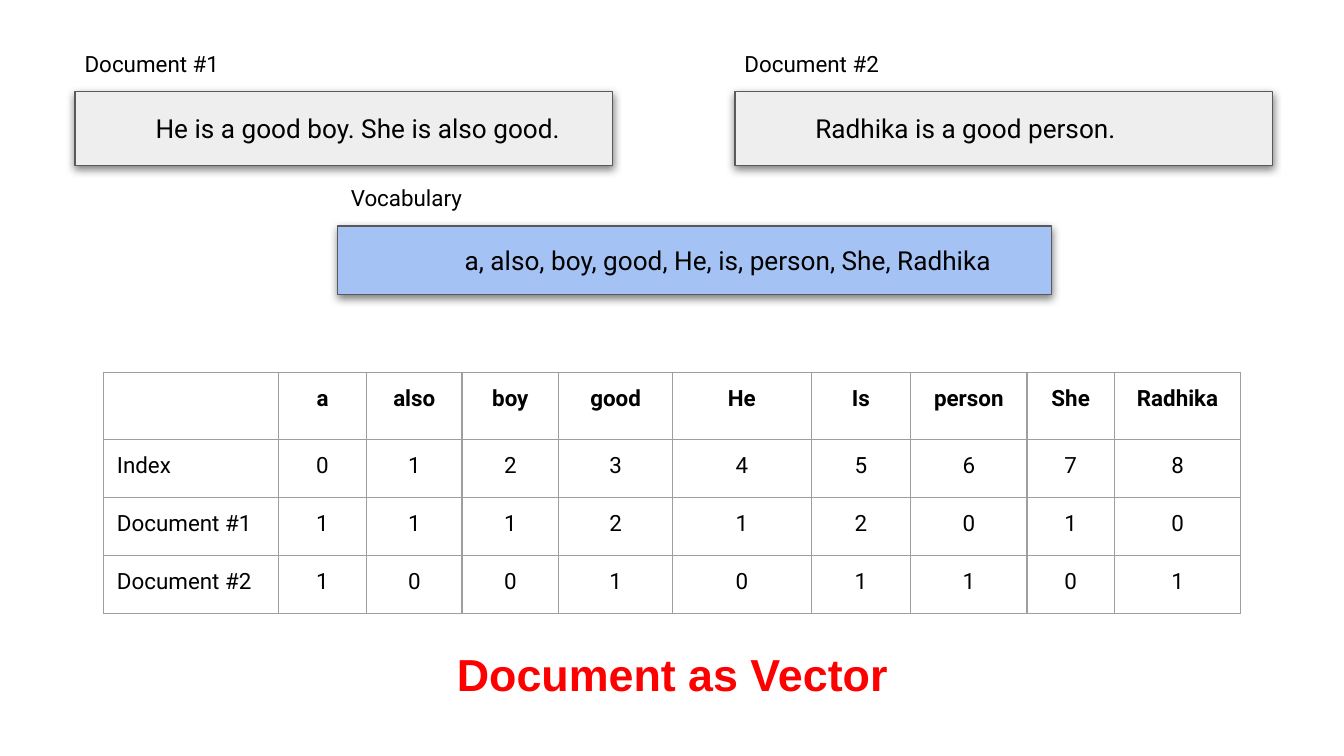
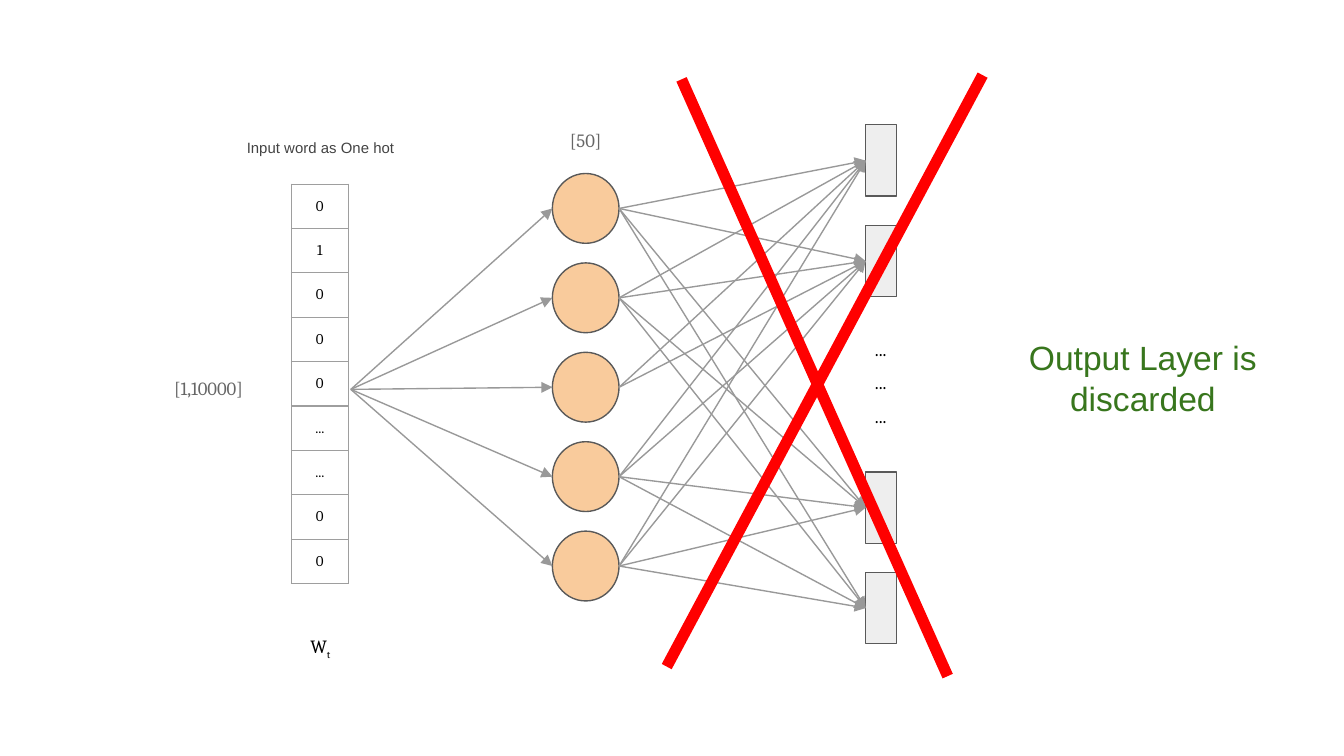
from dataclasses import dataclass

from lxml import etree
from pptx import Presentation
from pptx.dml.color import RGBColor
from pptx.enum.shapes import MSO_CONNECTOR, MSO_SHAPE
from pptx.enum.text import MSO_ANCHOR, PP_ALIGN
from pptx.oxml.ns import qn
from pptx.util import Cm, Pt

LEFT, CENTER = PP_ALIGN.LEFT, PP_ALIGN.CENTER
TOP, MIDDLE = MSO_ANCHOR.TOP, MSO_ANCHOR.MIDDLE
RECTANGLE, OVAL = MSO_SHAPE.RECTANGLE, MSO_SHAPE.OVAL
STRAIGHT = MSO_CONNECTOR.STRAIGHT


@dataclass(frozen=True)
class TextStyle:
    font: str
    size: int
    color: str = "000000"
    bold: bool = False


@dataclass(frozen=True)
class Theme:
    panel: str = "EEEEEE"
    vocabulary: str = "A4C2F4"
    neuron: str = "F9CB9C"
    outline: str = "595959"
    grid: str = "9E9E9E"
    arrow: str = "999999"
    cross: str = "FF0000"
    thin: float = 0.75
    thick: float = 6
    inset: float = 0.25
    sentence: TextStyle = TextStyle("Roboto", 14)
    label: TextStyle = TextStyle("Roboto", 12)
    header: TextStyle = TextStyle("Roboto", 12, bold=True)
    headline: TextStyle = TextStyle("Arial", 24, "FF0000", True)
    caption: TextStyle = TextStyle("Arial", 8, "434343")
    verdict: TextStyle = TextStyle("Arial", 18, "38761D")
    one_hot: TextStyle = TextStyle("Cambria", 8)
    symbol: TextStyle = TextStyle("Cambria", 10)
    dimension: TextStyle = TextStyle("Cambria", 10, "666666")


THEME = Theme()


@dataclass(frozen=True)
class Box:
    left: float
    top: float
    width: float
    height: float

    def lengths(self):
        return Cm(self.left), Cm(self.top), Cm(self.width), Cm(self.height)

    def inner(self, left, top, width, height):
        return Box(self.left + left, self.top + top, width, height)

    @property
    def middle(self):
        return self.top + self.height / 2

    @property
    def right(self):
        return self.left + self.width


def color(value):
    return RGBColor.from_string(value)


def add_run(paragraph, text, style):
    run = paragraph.add_run()
    run.text = text
    run.font.name = style.font
    run.font.size = Pt(style.size)
    run.font.bold = style.bold
    run.font.color.rgb = color(style.color)
    return run


def set_insets(holder):
    holder.margin_left = holder.margin_right = Cm(THEME.inset)
    holder.margin_top = holder.margin_bottom = Cm(THEME.inset)


def fill_frame(frame, text, style, align, anchor):
    frame.word_wrap = True
    frame.vertical_anchor = anchor
    set_insets(frame)
    paragraph = frame.paragraphs[0]
    paragraph.alignment = align
    add_run(paragraph, text, style)
    return paragraph


def add_text(slide, box, text, style, align=CENTER, anchor=MIDDLE):
    shape = slide.shapes.add_textbox(*box.lengths())
    return fill_frame(shape.text_frame, text, style, align, anchor)


def add_outlined_shape(slide, kind, box, fill):
    shape = slide.shapes.add_shape(kind, *box.lengths())
    shape.shadow.inherit = False
    shape.fill.solid()
    shape.fill.fore_color.rgb = color(fill)
    shape.line.color.rgb = color(THEME.outline)
    shape.line.width = Pt(THEME.thin)
    return shape


def add_drop_shadow(shape):
    effects = shape._element.spPr.find(qn("a:effectLst"))
    shadow = etree.SubElement(effects, qn("a:outerShdw"), blurRad=str(Pt(4.5)),
                              dist=str(Pt(1.5)), dir="5400000", algn="bl", rotWithShape="0")
    black = etree.SubElement(shadow, qn("a:srgbClr"), val="000000")
    etree.SubElement(black, qn("a:alpha"), val="50000")


def add_line(slide, start, end, line_color, width, arrow=False):
    connector = slide.shapes.add_connector(STRAIGHT, *map(Cm, start + end))
    connector.line.color.rgb = color(line_color)
    connector.line.width = Pt(width)
    properties = connector._element.spPr
    if arrow:
        etree.SubElement(properties.find(qn("a:ln")), qn("a:tailEnd"), type="triangle")
    etree.SubElement(properties, qn("a:effectLst"))


def add_arrow(slide, start, end):
    add_line(slide, start, end, THEME.arrow, THEME.thin, arrow=True)


def set_borders(cell):
    properties = cell._tc.get_or_add_tcPr()
    for index, side in enumerate(("lnL", "lnR", "lnT", "lnB")):
        border = etree.Element(qn(f"a:{side}"), w=str(Pt(THEME.thin)))
        fill = etree.SubElement(border, qn("a:solidFill"))
        etree.SubElement(fill, qn("a:srgbClr"), val=THEME.grid)
        properties.insert(index, border)


def add_grid(slide, box, rows, column_widths, row_heights, anchor, style_of, align_of):
    frame = slide.shapes.add_table(len(rows), len(column_widths), *box.lengths())
    table = frame.table
    table.first_row = table.horz_banding = False
    for column, width in zip(table.columns, column_widths):
        column.width = Cm(width)
    for row, height in zip(table.rows, row_heights):
        row.height = Cm(height)
    for row_index, values in enumerate(rows):
        for column_index, value in enumerate(values):
            cell = table.cell(row_index, column_index)
            cell.fill.background()
            cell.vertical_anchor = anchor
            set_insets(cell)
            set_borders(cell)
            paragraph = cell.text_frame.paragraphs[0]
            paragraph.alignment = align_of(column_index)
            add_run(paragraph, value, style_of(row_index))


def labelled_panel(slide, box, label, text, fill, align=LEFT, label_shift=0.0):
    label_height = 1.04
    label_box = box.inner(label_shift, 0, box.width, label_height)
    add_text(slide, label_box, label, THEME.label, LEFT, TOP)
    body = box.inner(0, label_height, box.width, box.height - label_height)
    panel = add_outlined_shape(slide, RECTANGLE, body, fill)
    add_drop_shadow(panel)
    paragraph = fill_frame(panel.text_frame, text, THEME.sentence, align, MIDDLE)
    properties = paragraph._p.get_or_add_pPr()
    properties.set("marL", "0")
    properties.set("indent", str(Cm(1.27)))


def count_table(slide, box):
    words = ["a", "also", "boy", "good", "He", "Is", "person", "She", "Radhika"]
    counts = {
        "Index": range(len(words)),
        "Document #1": (1, 1, 1, 2, 1, 2, 0, 1, 0),
        "Document #2": (1, 0, 0, 1, 0, 1, 1, 0, 1),
    }
    rows = [["", *words]] + [[name, *map(str, values)] for name, values in counts.items()]
    widths = [3.3, 1.67, 1.8, 1.83, 2.15, 2.62, 1.88, 2.2, 1.65, 2.39]
    header_height = 1.21
    body_height = (box.height - header_height) / len(counts)
    add_grid(slide, box, rows, widths, [header_height] + [body_height] * len(counts), TOP,
             lambda row: THEME.label if row else THEME.header,
             lambda column: CENTER if column else LEFT)


def document_vector_slide(slide):
    documents = ("He is a good boy. She is also good.", "Radhika is a good person.")
    for index, sentence in enumerate(documents):
        labelled_panel(slide, Box(1.42 + 12.47 * index, 0.69, 10.16, 2.44),
                       f"Document #{index + 1}", sentence, THEME.panel, label_shift=-0.07)
    labelled_panel(slide, Box(6.38, 3.23, 13.49, 2.34), "Vocabulary",
                   "a, also, boy, good, He, is, person, She, Radhika", THEME.vocabulary, CENTER)
    count_table(slide, Box(1.96, 7.04, 21.49, 4.51))
    add_text(slide, Box(2.62, 12.14, 20.17, 1.19), "Document as Vector", THEME.headline)


def one_hot_input(slide, box):
    add_text(slide, box.inner(0.66, 0, 5.66, 1.17), "Input word as One hot", THEME.caption)
    add_text(slide, box.inner(0, 4.6, 2.74, 1.07), "[1,10000]", THEME.dimension)
    values = ["0", "1", "0", "0", "0", "...", "...", "0", "0"]
    row_height = 0.76
    column = box.inner(2.94, 1.27, 1.07, row_height * len(values))
    add_grid(slide, column, [[value] for value in values], [column.width],
             [row_height] * len(values), MIDDLE,
             lambda row: THEME.one_hot, lambda index: CENTER)
    word = add_text(slide, box.inner(2.61, 9.68, 1.75, 0.71), "W", THEME.symbol)
    subscript = add_run(word, "t", THEME.symbol)
    subscript._r.get_or_add_rPr().set("baseline", "-25000")
    return column.right + 0.05, box.top + 5.15


def hidden_layer(slide, box):
    add_text(slide, box.inner(-0.74, 0, 2.74, 1.07), "[50]", THEME.dimension)
    neurons = [box.inner(0, 1.17 + 1.69 * index, box.width, 1.32) for index in range(5)]
    for neuron in neurons:
        add_outlined_shape(slide, OVAL, neuron, THEME.neuron)
    return neurons


def output_layer(slide, box):
    units = [box.inner(0, pair_top + 1.9 * index, box.width, 1.35)
             for pair_top in (0, 6.56) for index in range(2)]
    for unit in units:
        add_outlined_shape(slide, RECTANGLE, unit, THEME.panel)
    for index in range(3):
        add_text(slide, box.inner(-0.25, 3.81 + 0.64 * index, 1.07, 0.84), "...", THEME.symbol)
    return units


def connect_layers(slide, source, neurons, units):
    central = neurons[len(neurons) // 2]
    for neuron in neurons:
        add_arrow(slide, source, (neuron.left, neuron.middle))
        targets = units[:2] if neuron is central else units
        for unit in targets:
            add_arrow(slide, (neuron.right, neuron.middle), (unit.left, unit.middle))


def cross_out(slide, box):
    strokes = [((0.28, 0.08), (5.31, 11.36)), ((5.97, 0), (0, 11.18))]
    for stroke in strokes:
        start, end = [(box.left + across, box.top + down) for across, down in stroke]
        add_line(slide, start, end, THEME.cross, THEME.thick)


def discarded_output_slide(slide):
    source = one_hot_input(slide, Box(2.57, 2.21, 6.32, 10.39))
    neurons = hidden_layer(slide, Box(10.44, 2.11, 1.26, 9.25))
    units = output_layer(slide, Box(16.36, 2.36, 0.58, 9.81))
    connect_layers(slide, source, neurons, units)
    add_text(slide, Box(18.77, 6.55, 5.66, 1.17), "Output Layer is discarded", THEME.verdict)
    cross_out(slide, Box(12.6, 1.42, 5.97, 11.36))


def main():
    presentation = Presentation()
    presentation.slide_width = Cm(25.4)
    presentation.slide_height = Cm(14.29)
    blank = presentation.slide_layouts[6]
    for build in (document_vector_slide, discarded_output_slide):
        build(presentation.slides.add_slide(blank))
    presentation.save("out.pptx")


if __name__ == "__main__":
    main()
